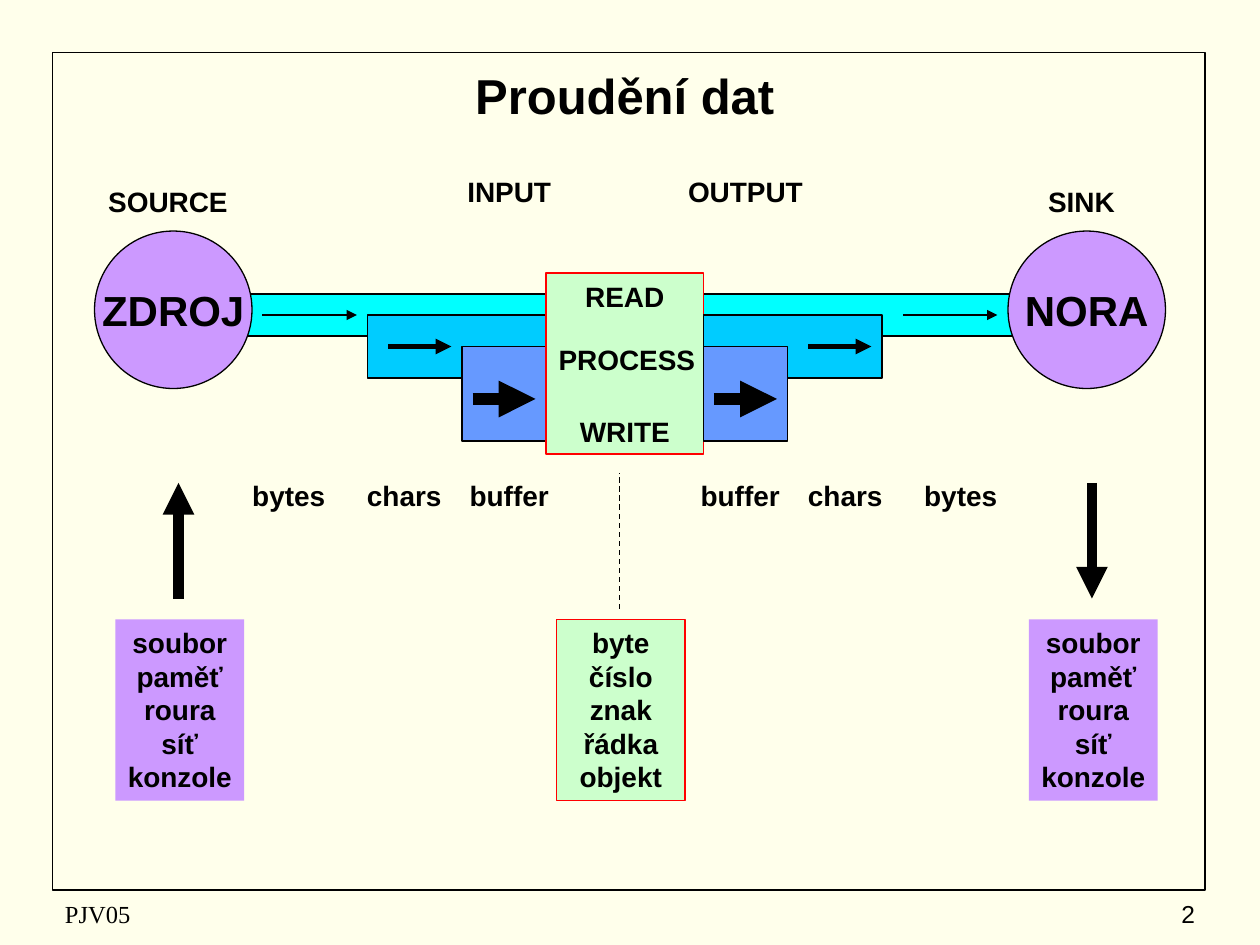
from lxml.etree import SubElement
from pptx import Presentation
from pptx.dml.color import RGBColor
from pptx.enum.dml import MSO_LINE
from pptx.enum.shapes import MSO_CONNECTOR, MSO_SHAPE
from pptx.enum.text import MSO_ANCHOR, MSO_AUTO_SIZE, PP_ALIGN
from pptx.oxml.ns import qn
from pptx.util import Inches, Pt

# The grid has 120 columns and 90 rows
UNIT = Inches(1) / 12
BLACK, RED = "000000", "FF0000"
CREAM, PURPLE, GREEN = "FFFFEB", "CC99FF", "CCFFCC"
CYAN, SKY, BLUE = "00FFFF", "00CCFF", "6699FF"
MEDIA = ["soubor", "paměť", "roura", "síť", "konzole"]
UNITS = ["byte", "číslo", "znak", "řádka", "objekt"]


def color(value):
    return RGBColor.from_string(value)


def grid(*cells):
    return [round(cell * UNIT) for cell in cells]


def write(shape, lines, size=16, bold=True, font="Arial", align=PP_ALIGN.CENTER,
          anchor=MSO_ANCHOR.TOP, wrap=True, gap=0):
    frame = shape.text_frame
    frame.word_wrap = wrap
    frame.auto_size = MSO_AUTO_SIZE.NONE
    frame.vertical_anchor = anchor
    frame.text = "\n".join(lines)
    for index, paragraph in enumerate(frame.paragraphs):
        paragraph.alignment = align
        paragraph.space_before = Pt(gap if index else 0)
        paragraph.font.size = Pt(size)
        paragraph.font.bold = bold
        paragraph.font.name = font
        paragraph.font.color.rgb = color(BLACK)


def add_label(slide, text, left, top, width, height=4.4, **style):
    write(slide.shapes.add_textbox(*grid(left, top, width, height)), [text], **style)


def add_block(slide, cells, fill=None, line=BLACK, width=0.75, kind=MSO_SHAPE.RECTANGLE):
    shape = slide.shapes.add_shape(kind, *grid(*cells))
    shape.shadow.inherit = False
    if fill:
        shape.fill.solid()
        shape.fill.fore_color.rgb = color(fill)
    else:
        shape.fill.background()
    if line:
        shape.line.color.rgb = color(line)
        shape.line.width = Pt(width)
    else:
        shape.line.fill.background()
    return shape


def add_line(slide, start, end, width, arrow=True):
    connector = slide.shapes.add_connector(
        MSO_CONNECTOR.STRAIGHT, *grid(*start, *end))
    connector.line.color.rgb = color(BLACK)
    connector.line.width = Pt(width)
    if arrow:
        SubElement(connector.line._get_or_add_ln(), qn("a:tailEnd"), type="triangle")
    else:
        connector.line.dash_style = MSO_LINE.DASH
    SubElement(connector._element.spPr, qn("a:effectLst"))


def add_circle(slide, left, text):
    circle = add_block(slide, (left, 22, 15, 15), PURPLE, kind=MSO_SHAPE.OVAL)
    write(circle, [text], size=24, anchor=MSO_ANCHOR.MIDDLE, wrap=False)


def add_list(slide, left, lines, fill, line=None):
    write(add_block(slide, (left, 59, 12.25, 17.25), fill, line), lines, wrap=False)


def add_title(slide):
    title = slide.shapes.title
    title.left, title.top, title.width, title.height = grid(6, 5, 107, 8)
    write(title, ["Proudění dat"], size=28, anchor=MSO_ANCHOR.MIDDLE)


def add_stream(slide):
    # Input pipes, and the outer output pipe
    for cells, fill in [((21, 28, 31, 4), CYAN), ((35, 30, 17, 6), SKY),
                        ((44, 33, 8, 9), BLUE), ((67, 28, 30, 4), CYAN)]:
        add_block(slide, cells, fill)

    # Both ends of the stream and the program between them
    add_circle(slide, 96, "NORA")
    add_circle(slide, 9, "ZDROJ")
    program = add_block(slide, (52, 26, 15, 17.25), GREEN, RED)
    write(program, ["READ", "WRITE"], gap=58)
    add_label(slide, "PROCESS", 52, 32, 15.4)

    # Inner output pipes lie over the edge of the program
    add_block(slide, (67, 30, 17, 6), SKY)
    add_block(slide, (67, 33, 8, 9), BLUE)

    # Flow arrows: row, length, line width and the left ends on both sides
    for row, length, width, lefts in [(30, 9, 1.5, (25, 86)), (33, 6, 3, (37, 77)),
                                      (38, 6, 7, (45, 68))]:
        for left in lefts:
            add_line(slide, (left, row), (left + length, row), width)


def add_labels(slide):
    for text, lefts in [("bytes", (22, 86)), ("chars", (33, 75)), ("buffer", (43, 65))]:
        for left in lefts:
            add_label(slide, text, left, 45, 11)
    add_label(slide, "INPUT", 43, 16, 11)
    add_label(slide, "OUTPUT", 64, 16, 14)
    add_label(slide, "SOURCE", 9, 17, 14)
    add_label(slide, "SINK", 96, 17, 14)


def add_details(slide):
    add_list(slide, 11, MEDIA, PURPLE)
    add_list(slide, 98, MEDIA, PURPLE)
    add_list(slide, 53, UNITS, GREEN, RED)
    add_line(slide, (17, 57), (17, 46), 6)
    add_line(slide, (104, 46), (104, 57), 6)
    add_line(slide, (59, 58), (59, 45), 0.75, arrow=False)


def add_footer(slide):
    style = dict(size=14, bold=False, anchor=MSO_ANCHOR.MIDDLE)
    add_label(slide, "PJV05", 5, 85, 38, 4, font="Times New Roman",
              align=PP_ALIGN.LEFT, **style)
    add_label(slide, "2", 90, 85, 25, 4, align=PP_ALIGN.RIGHT, **style)


def main():
    presentation = Presentation()
    presentation.slide_width, presentation.slide_height = grid(120, 90)
    slide = presentation.slides.add_slide(presentation.slide_layouts[5])
    slide.background.fill.solid()
    slide.background.fill.fore_color.rgb = color(CREAM)

    add_block(slide, (5, 5, 109.8, 79.8), width=1)  # page frame
    add_title(slide)
    add_stream(slide)
    add_labels(slide)
    add_details(slide)
    add_footer(slide)
    presentation.save("out.pptx")


if __name__ == "__main__":
    main()
